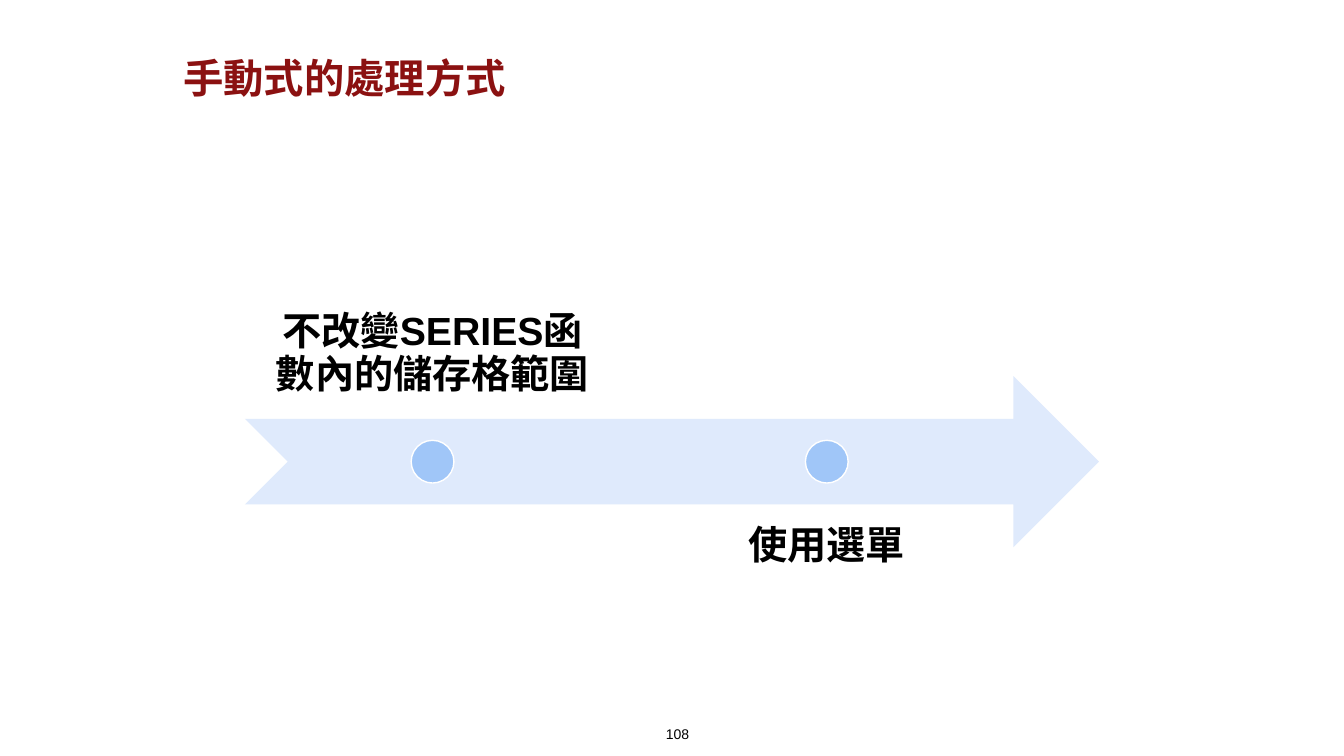
import pptx
import pptx.util
import pptx.dml.color
import pptx.enum.shapes
import pptx.enum.text

Inches = pptx.util.Inches
Pt = pptx.util.Pt
SHAPES = pptx.enum.shapes.MSO_SHAPE
ALIGN = pptx.enum.text.PP_ALIGN
ANCHOR = pptx.enum.text.MSO_ANCHOR

COLORS = {"title": "8B1111", "text": "000000", "arrow": "DFEAFC", "dot": "A0C6F8", "outline": "FFFFFF"}
FONTS = {
    "title": {"name": "Arial", "size": Pt(28.8), "bold": True},
    "step": {"name": "Arial", "size": Pt(28), "bold": True},
    "number": {"name": "Arial", "size": Pt(10), "bold": False},
}
PARAGRAPHS = {
    "title": {"alignment": ALIGN.LEFT},
    "step": {"alignment": ALIGN.CENTER, "line_spacing": 0.9},
    "number": {"alignment": ALIGN.CENTER},
}
STEPS = [("不改變SERIES函數內的儲存格範圍", ANCHOR.BOTTOM), ("使用選單", ANCHOR.TOP)]


def rgb(key):
    """Return the named colour."""
    return pptx.dml.color.RGBColor.from_string(COLORS[key])


def apply(target, values):
    """Set every attribute in a dict of format values."""
    for name, value in values.items():
        setattr(target, name, value)


def add_text(slide, box, text, style, color, anchor, inset=None):
    """Add a wrapped text box in the given style."""
    frame = slide.shapes.add_textbox(*map(Inches, box)).text_frame
    apply(frame, {"word_wrap": True, "vertical_anchor": anchor})
    if inset is not None:
        sides = ("margin_left", "margin_top", "margin_right", "margin_bottom")
        apply(frame, dict.fromkeys(sides, Inches(inset)))
    paragraph = frame.paragraphs[0]
    apply(paragraph, PARAGRAPHS[style])
    run = paragraph.add_run()
    run.text = text
    apply(run.font, FONTS[style])
    run.font.color.rgb = rgb(color)


def add_filled(slide, kind, box, color):
    """Add a flat preset shape without an outline."""
    shape = slide.shapes.add_shape(kind, *map(Inches, box))
    shape.shadow.inherit = False
    shape.fill.solid()
    shape.fill.fore_color.rgb = rgb(color)
    shape.line.fill.background()
    return shape


def add_timeline(slide, box):
    """Draw the notched arrow with its dots and alternating labels."""
    left, top, width, height = box
    band = height * 0.4
    label_width, pitch, dot = 3.72, 3.91, band / 4
    add_filled(slide, SHAPES.NOTCHED_RIGHT_ARROW, (left, top + height * 0.3, width, band), "arrow")
    for index, (text, anchor) in enumerate(STEPS):
        label_left = left + index * pitch
        label_top = top + index * (height - band)
        add_text(slide, (label_left, label_top, label_width, band), text, "step", "text", anchor, 0.22)
        dot_box = (label_left + (label_width - dot) / 2, top + (height - dot) / 2, dot, dot)
        marker = add_filled(slide, SHAPES.OVAL, dot_box, "dot")
        marker.line.color.rgb = rgb("outline")
        marker.line.width = Pt(1)


def main():
    """Build and save the slide."""
    presentation = pptx.Presentation()
    apply(presentation, {"slide_width": Inches(13.33), "slide_height": Inches(7.5)})
    slide = presentation.slides.add_slide(presentation.slide_layouts[6])
    add_text(slide, (1.72, 0.5, 10.33, 0.53), "手動式的處理方式", "title", "title", ANCHOR.MIDDLE)
    add_timeline(slide, (2.43, 2.46, 8.47, 4.24))
    add_text(slide, (6.11, 7.15, 1.22, 0.29), "108", "number", "text", ANCHOR.TOP)
    presentation.save("out.pptx")


if __name__ == "__main__":
    main()
